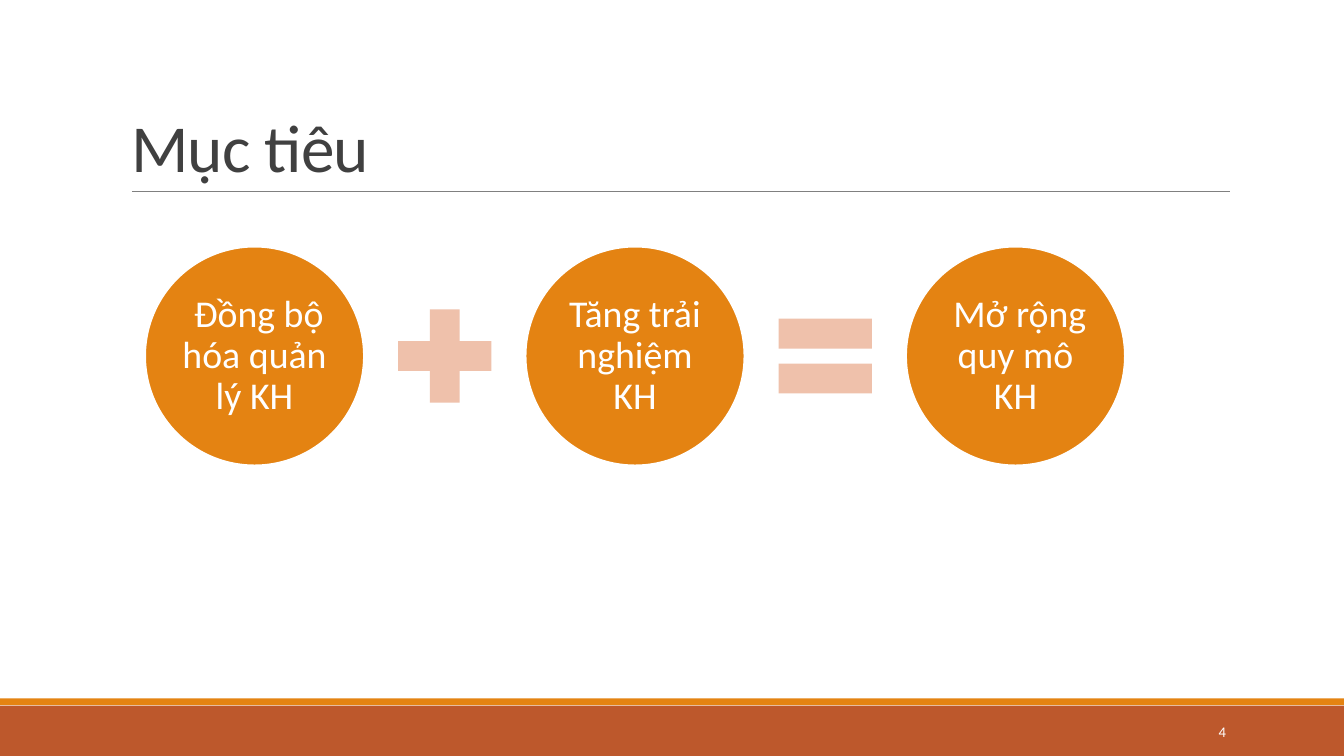
from dataclasses import dataclass

from lxml import etree
from pptx import Presentation
from pptx.dml.color import RGBColor
from pptx.enum.shapes import MSO_CONNECTOR, MSO_SHAPE
from pptx.enum.text import MSO_ANCHOR, MSO_AUTO_SIZE, PP_ALIGN
from pptx.oxml.ns import qn
from pptx.util import Inches, Pt

RECTANGLE, ELLIPSE = MSO_SHAPE.RECTANGLE, MSO_SHAPE.OVAL
PLUS, EQUAL = MSO_SHAPE.MATH_PLUS, MSO_SHAPE.MATH_EQUAL
STRAIGHT = MSO_CONNECTOR.STRAIGHT
MIDDLE, BOTTOM = MSO_ANCHOR.MIDDLE, MSO_ANCHOR.BOTTOM
LEFT, CENTER, RIGHT = PP_ALIGN.LEFT, PP_ALIGN.CENTER, PP_ALIGN.RIGHT
NO_AUTOFIT = MSO_AUTO_SIZE.NONE
TITLE_ONLY_LAYOUT = 5

# The grid has 100 columns and 100 rows.
SLIDE_WIDTH, SLIDE_HEIGHT = Inches(13.33), Inches(7.5)
COLUMN, ROW = SLIDE_WIDTH / 100, SLIDE_HEIGHT / 100

FIRST_CENTER, GOAL_PITCH, EQUATION_ROW = 18.94, 28.31, 47.1
CIRCLE_SIZE, OPERATOR_SIZE = 16.28, 9.45

GOALS = [" Đồng bộ hóa quản lý KH", "Tăng trải nghiệm KH", " Mở rộng quy mô KH"]
OPERATORS = [PLUS, EQUAL]


@dataclass(frozen=True)
class Theme:
    font: str = "Calibri"
    orange: RGBColor = RGBColor(0xE4, 0x83, 0x12)
    rust: RGBColor = RGBColor(0xBD, 0x58, 0x2C)
    peach: RGBColor = RGBColor(0xEF, 0xC1, 0xAB)
    rule: RGBColor = RGBColor(0x80, 0x80, 0x80)
    heading: RGBColor = RGBColor(0x40, 0x40, 0x40)
    white: RGBColor = RGBColor(0xFF, 0xFF, 0xFF)
    title_size: float = 48
    goal_size: float = 27
    number_size: float = 10.5


THEME = Theme()


def grid_box(left, top, width, height):
    return (round(left * COLUMN), round(top * ROW),
            round(width * COLUMN), round(height * ROW))


def centered_square(center_column, size):
    """Square on the equation row, with its size in columns."""
    side = round(size * COLUMN)
    return (round(center_column * COLUMN - side / 2),
            round(EQUATION_ROW * ROW - side / 2), side, side)


def add_filled_shape(slide, kind, box, color):
    shape = slide.shapes.add_shape(kind, *box)
    shape.shadow.inherit = False
    shape.fill.solid()
    shape.fill.fore_color.rgb = color
    shape.line.fill.background()
    return shape


def write_text(shape, text, size, color, alignment, anchor, line_spacing=1.0):
    frame = shape.text_frame
    frame.word_wrap = True
    frame.auto_size = NO_AUTOFIT
    frame.vertical_anchor = anchor
    paragraph = frame.paragraphs[0]
    paragraph.alignment = alignment
    paragraph.line_spacing = line_spacing
    run = paragraph.add_run()
    run.text = text
    run.font.name = THEME.font
    run.font.size = Pt(size)
    run.font.color.rgb = color
    return run


def add_title(slide, text):
    title = slide.shapes.title
    title.left, title.top, title.width, title.height = grid_box(9, 4.18, 82.5, 21.16)
    run = write_text(title, text, THEME.title_size, THEME.heading, LEFT, BOTTOM, 0.85)
    run.font._element.set("spc", "-50")


def add_title_rule(slide):
    left, top, width, _ = grid_box(9.82, 25.33, 81.7, 0)
    rule = slide.shapes.add_connector(STRAIGHT, left, top, left + width, top)
    rule.line.color.rgb = THEME.rule
    rule.line.width = Pt(0.5)
    etree.SubElement(rule._element.spPr, qn("a:effectLst"))


def add_goal(slide, center_column, text):
    circle = add_filled_shape(slide, ELLIPSE,
                              centered_square(center_column, CIRCLE_SIZE), THEME.orange)
    circle.line.color.rgb = THEME.white
    circle.line.width = Pt(1.25)
    frame = circle.text_frame
    frame.margin_left = frame.margin_right = Inches(0.04)
    frame.margin_top = frame.margin_bottom = Inches(0.04)
    write_text(circle, text, THEME.goal_size, THEME.white, CENTER, MIDDLE, 0.9)


def add_equation(slide):
    for index, goal in enumerate(GOALS):
        add_goal(slide, FIRST_CENTER + index * GOAL_PITCH, goal)
    for index, operator in enumerate(OPERATORS):
        center_column = FIRST_CENTER + (index + 0.5) * GOAL_PITCH
        add_filled_shape(slide, operator,
                         centered_square(center_column, OPERATOR_SIZE), THEME.peach)


def add_slide_number(slide, number):
    box = slide.shapes.add_textbox(*grid_box(81.23, 94.13, 10.74, 5.33))
    write_text(box, number, THEME.number_size, THEME.white, RIGHT, MIDDLE)


def main():
    presentation = Presentation()
    presentation.slide_width, presentation.slide_height = SLIDE_WIDTH, SLIDE_HEIGHT
    slide = presentation.slides.add_slide(presentation.slide_layouts[TITLE_ONLY_LAYOUT])
    add_filled_shape(slide, RECTANGLE, grid_box(0, 93.33, 100, 6.67), THEME.rust)
    add_filled_shape(slide, RECTANGLE, grid_box(0, 92.36, 100, 0.93), THEME.orange)
    add_title_rule(slide)
    add_title(slide, "Mục tiêu")
    add_equation(slide)
    add_slide_number(slide, "4")
    presentation.save("out.pptx")


if __name__ == "__main__":
    main()
